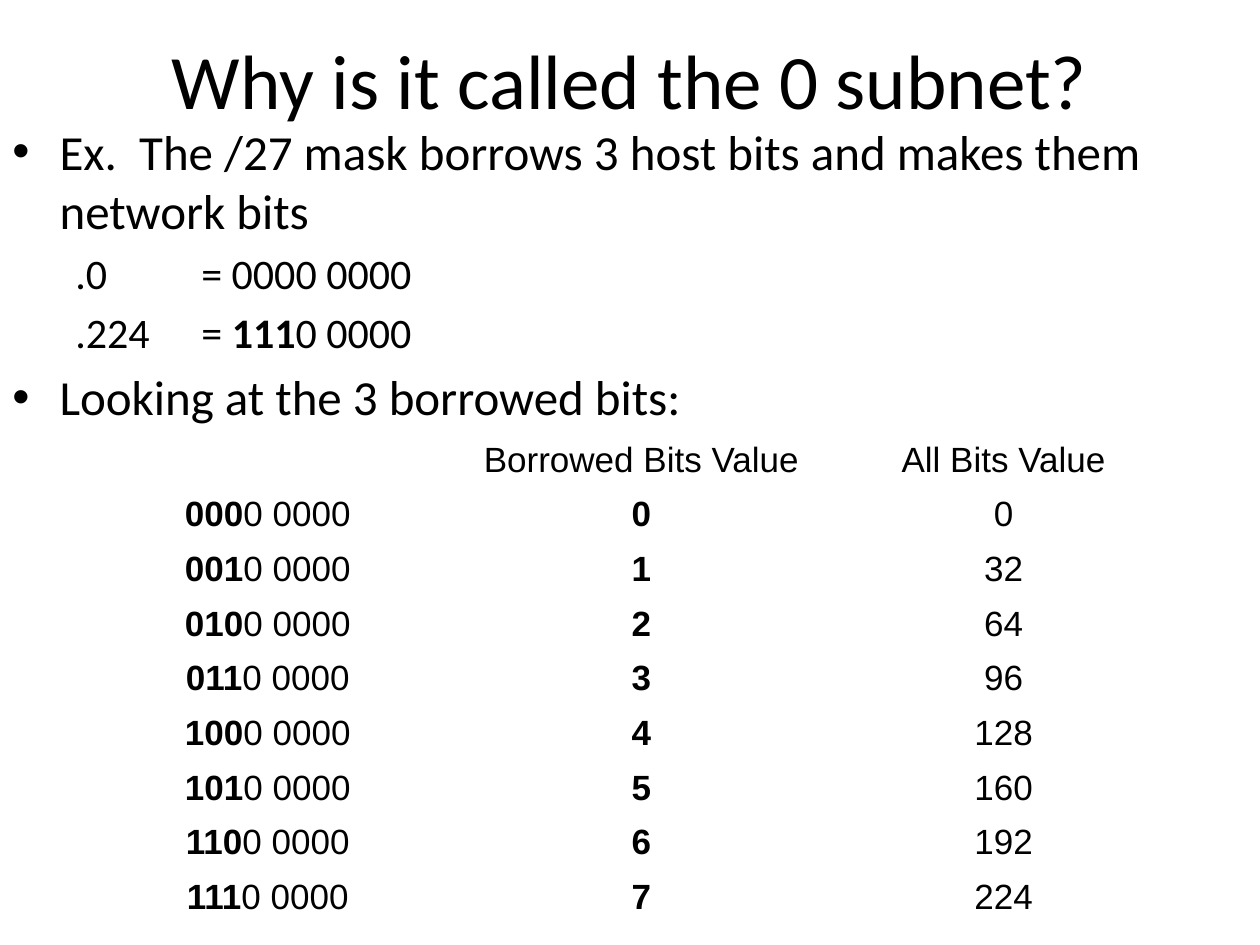
from dataclasses import dataclass

from lxml.etree import SubElement
from pptx import Presentation
from pptx.dml.color import RGBColor
from pptx.enum.text import MSO_ANCHOR as Anchor, PP_ALIGN as Align
from pptx.oxml.ns import qn
from pptx.util import Pt


@dataclass(frozen=True)
class Theme:
    text: RGBColor = RGBColor(0, 0, 0)
    heading_font: str = "Calibri"
    table_font: str = "Arial"
    title: int = 44
    bullet: int = 28
    detail: int = 24
    table: int = 20


THEME = Theme()
NO_STYLE_NO_GRID = "{2D5ABB26-0587-4C30-8999-92F81FD0307C}"
BORROWED_BITS = 3
HOST_BITS = "0 0000"
DETAIL_TABS = (130.5, 202.5)
BODY = [
    (0, [("Ex.  The /27 mask borrows 3 host bits and makes them network bits", False)]),
    (1, [(".0 \t\t= 0000 0000", False)]),
    (1, [(".224\t= ", False), ("111", True), (HOST_BITS, False)]),
    (0, [("Looking at the 3 borrowed bits:", False)]),
]


def write_runs(paragraph, parts, size, font_name):
    """Add (text, bold) parts to a paragraph in one size and font."""
    for text, bold in parts:
        run = paragraph.add_run()
        run.text = text
        run.font.size = Pt(size)
        run.font.name = font_name
        run.font.bold = bold
        run.font.color.rgb = THEME.text


def add_text_frame(slide, box):
    frame = slide.shapes.add_textbox(*map(Pt, box)).text_frame
    frame.word_wrap = True
    return frame


def add_title(slide, box, text):
    frame = add_text_frame(slide, box)
    frame.vertical_anchor = Anchor.MIDDLE
    paragraph = frame.paragraphs[0]
    paragraph.alignment = Align.CENTER
    write_runs(paragraph, [(text, False)], THEME.title, THEME.heading_font)


def set_indent(paragraph, left, first_line):
    properties = paragraph._p.get_or_add_pPr()
    properties.set("marL", str(Pt(left)))
    properties.set("indent", str(Pt(first_line)))
    return properties


def format_bullet(paragraph):
    properties = set_indent(paragraph, 27, -27)
    SubElement(properties, qn("a:buFont")).set("typeface", "Arial")
    SubElement(properties, qn("a:buChar")).set("char", "•")


def format_detail(paragraph):
    """Indent an unbulleted line; a zero margin keeps tab stops measured from the text edge."""
    properties = set_indent(paragraph, 0, 36)
    SubElement(properties, qn("a:buNone"))
    tab_list = SubElement(properties, qn("a:tabLst"))
    for position in DETAIL_TABS:
        tab = SubElement(tab_list, qn("a:tab"))
        tab.set("pos", str(Pt(position)))
        tab.set("algn", "l")


def add_body(slide, box, entries):
    frame = add_text_frame(slide, box)
    for index, (level, parts) in enumerate(entries):
        paragraph = frame.add_paragraph() if index else frame.paragraphs[0]
        paragraph.level = level
        size = THEME.detail if level else THEME.bullet
        if level:
            format_detail(paragraph)
        else:
            format_bullet(paragraph)
        if index:
            paragraph.space_before = Pt(0.2 * size)
        write_runs(paragraph, parts, size, THEME.heading_font)


def subnet_rows():
    """Header row, then one row for each value of the borrowed bits."""
    yield [[], [("Borrowed Bits Value", False)], [("All Bits Value", False)]]
    for value in range(2 ** BORROWED_BITS):
        yield [
            [(f"{value:0{BORROWED_BITS}b}", True), (HOST_BITS, False)],
            [(str(value), True)],
            [(str(value << (8 - BORROWED_BITS)), False)],
        ]


def add_subnet_table(slide, box, column_widths, header_height):
    rows = list(subnet_rows())
    table = slide.shapes.add_table(len(rows), len(column_widths), *map(Pt, box)).table
    table.first_row = table.horz_banding = False
    table._tbl.tblPr.find(qn("a:tableStyleId")).text = NO_STYLE_NO_GRID
    for column, width in zip(table.columns, column_widths):
        column.width = Pt(width)
    row_height = (box[3] - header_height) / (len(rows) - 1)
    for index, (row, contents) in enumerate(zip(table.rows, rows)):
        row.height = Pt(row_height if index else header_height)
        for cell, parts in zip(row.cells, contents):
            cell.fill.background()
            cell.vertical_anchor = Anchor.BOTTOM
            paragraph = cell.text_frame.paragraphs[0]
            paragraph.alignment = Align.CENTER
            write_runs(paragraph, parts, THEME.table, THEME.table_font)


def main():
    presentation = Presentation()
    presentation.slide_width, presentation.slide_height = Pt(720), Pt(540)
    slide = presentation.slides.add_slide(presentation.slide_layouts[6])
    add_title(slide, (36, 0, 648, 90), "Why is it called the 0 subnet?")
    add_body(slide, (0, 66, 720, 180), BODY)
    add_subnet_table(slide, (78, 236, 564, 285.6), (150, 277, 137), header_height=41.6)
    presentation.save("out.pptx")


if __name__ == "__main__":
    main()
